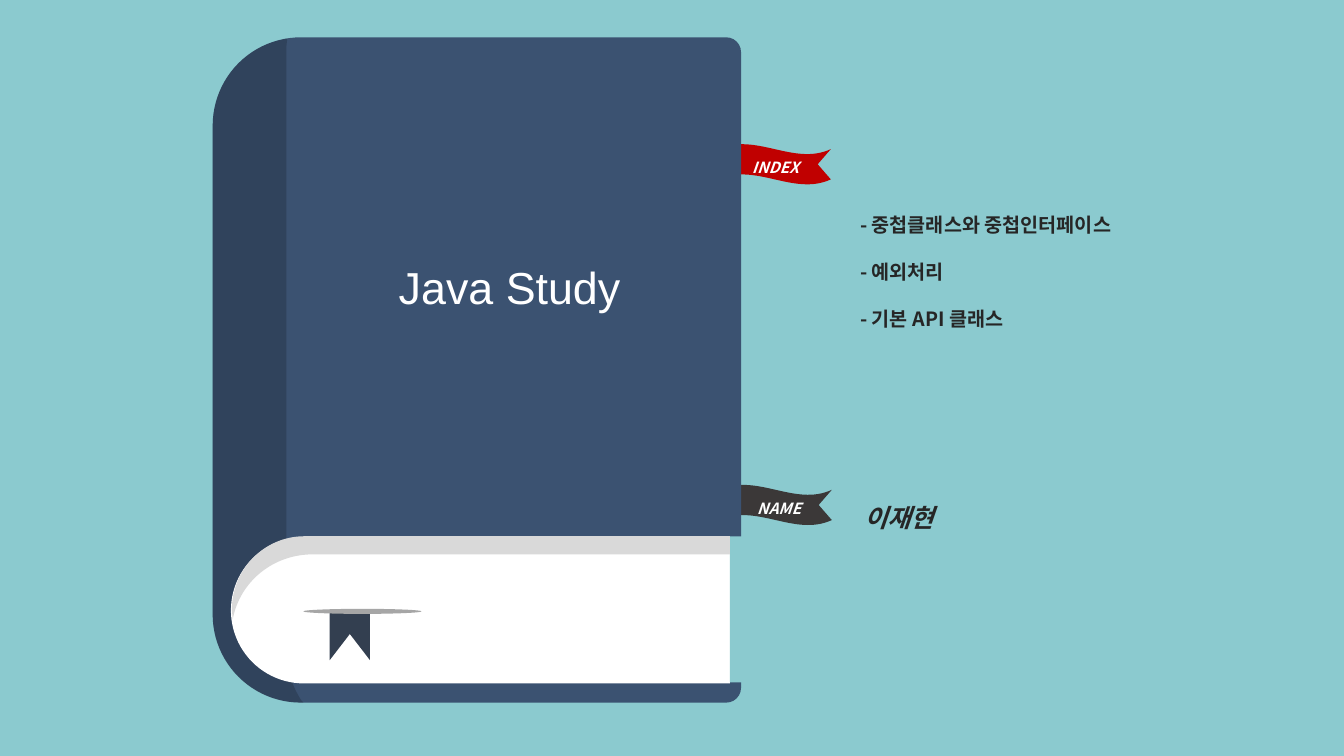
"""Builds the book-cover title slide with its index and name ribbons."""
from pptx import Presentation
from pptx import util as u
from pptx.dml.color import RGBColor
from pptx.enum import shapes, text
from pptx.oxml.ns import qn
from lxml import etree

SKY = RGBColor(0x8B, 0xCA, 0xCF)
COVER = RGBColor(0x3B, 0x52, 0x71)
BLACK = RGBColor(0, 0, 0)
WHITE = RGBColor(0xFF, 0xFF, 0xFF)
PAGE_SHADE = RGBColor(0xD9, 0xD9, 0xD9)
SLOT = RGBColor(0xA6, 0xA6, 0xA6)
BOOKMARK = RGBColor(0x33, 0x3F, 0x50)
RED = RGBColor(0xC0, 0, 0)
CHARCOAL = RGBColor(0x3B, 0x38, 0x38)
INK = RGBColor(0x26, 0x26, 0x26)
KOREAN = "Noto Sans CJK KR"


def paint(sp, color):
    """Give a shape a plain fill without line or shadow."""
    sp.shadow.inherit = False
    sp.fill.solid()
    sp.fill.fore_color.rgb = color
    sp.line.fill.background()
    return sp


def add_preset(s, kind, left, top, width, height, color):
    """Add a filled preset shape."""
    box = [u.Inches(v) for v in (left, top, width, height)]
    return paint(s.shapes.add_shape(kind, *box), color)


def add_left_rounded(s, left, top, width, height, color, adjustments):
    """Add a block whose large round corners face left."""
    x, y = left + (width - height) / 2, top + (height - width) / 2
    sp = add_preset(s, shapes.MSO_SHAPE.ROUND_2_SAME_RECTANGLE, x, y, height, width, color)
    sp.rotation = 270
    for i, value in enumerate(adjustments):
        sp.adjustments[i] = value


def add_outline(s, box, start, segments, color):
    """Add a closed outline in a box; two numbers make a line, six a curve."""
    left, top, width, height = (u.Inches(v) for v in box)
    builder = s.shapes.build_freeform(left, top)
    builder.add_line_segments([(left + width, top + height)], close=True)
    sp = paint(builder.convert_to_shape(), color)
    outline = next(sp.element.iter(qn("a:path")))
    for command in list(outline):
        outline.remove(command)
    commands = [("a:moveTo", start)]
    commands += [("a:lnTo" if len(seg) == 2 else "a:cubicBezTo", seg) for seg in segments]
    for tag, numbers in commands:
        command = etree.SubElement(outline, qn(tag))
        for x, y in zip(numbers[::2], numbers[1::2]):
            pt = etree.SubElement(command, qn("a:pt"))
            pt.set("x", str(u.Inches(x) - left))
            pt.set("y", str(u.Inches(y) - top))
    etree.SubElement(outline, qn("a:close"))
    return sp


def set_text(sp, box, lines, size, color, font=KOREAN, bold=True, italic=False,
             spacing=1.0, align=text.PP_ALIGN.LEFT, wrap=True):
    """Place a text shape and format its paragraphs."""
    sp.left, sp.top, sp.width, sp.height = (u.Inches(v) for v in box)
    tf = sp.text_frame
    tf.text = "\n".join(lines)
    tf.word_wrap = wrap
    tf.auto_size = text.MSO_AUTO_SIZE.NONE
    for p in tf.paragraphs:
        p.alignment = align
        p.line_spacing = spacing
        p.space_before = u.Pt(0)
        pPr = p._p.get_or_add_pPr()
        pPr.set("marL", "0")
        pPr.set("indent", "0")
        etree.SubElement(pPr, qn("a:buNone"))
        for r in p.runs:
            r.font.size = u.Pt(size)
            r.font.name = font
            r.font.bold = bold
            r.font.italic = italic
            r.font.color.rgb = color
            etree.SubElement(r.font._element, qn("a:ea")).set("typeface", font)
    return tf


def add_label(s, box, label, size, color, spacing, wrap):
    """Add a bold italic text box."""
    sp = s.shapes.add_textbox(0, 0, 0, 0)
    return set_text(sp, box, [label], size, color, italic=True, spacing=spacing, wrap=wrap)


def add_ribbon(s, left, top, color, label, label_box):
    """Add a waving ribbon with its label."""
    right, bottom = left + 1.12, top + 0.3
    add_outline(s, (left, top - 0.05, 1.12, 0.4), (left, bottom), [
        (left, top),
        (left + 0.38, top - 0.17, left + 0.75, top + 0.17, right, top),
        (right - 0.13, top + 0.15),
        (right, bottom),
        (left + 0.75, bottom + 0.17, left + 0.38, bottom - 0.17, left, bottom),
    ], color)
    add_label(s, label_box, label, 11, WHITE, 1.5, False)


def add_book(s):
    """Draw the cover, spine, pages and bookmark."""
    add_left_rounded(s, 2.11, 0.37, 5.24, 6.6, COVER, (0.167, 0.028))
    spine = add_outline(s, (2.11, 0.38, 0.9, 6.59), (2.85, 0.38), [
        (2.84, 0.47), (2.84, 6.46), (2.84, 6.64, 2.9, 6.81, 2.99, 6.95),
        (3.01, 6.97), (2.98, 6.97), (2.5, 6.97, 2.11, 6.58, 2.11, 6.1),
        (2.11, 1.25), (2.11, 0.82, 2.41, 0.47, 2.81, 0.39),
    ], BLACK)
    tint = spine.element.spPr.find(qn("a:solidFill"))[0]
    etree.SubElement(tint, qn("a:alpha")).set("val", "18000")
    add_left_rounded(s, 2.29, 5.33, 4.95, 1.45, WHITE, (0.5, 0))
    add_preset(s, shapes.MSO_SHAPE.RECTANGLE, 7.24, 5.32, 1.05, 1.45, SKY)
    add_outline(s, (2.3, 5.32, 4.94, 0.83), (3.02, 5.32), [
        (7.24, 5.32), (7.24, 5.5), (3.1, 5.5), (2.71, 5.5, 2.38, 5.77, 2.31, 6.14),
        (2.31, 6.15), (2.3, 6.05), (2.3, 5.65, 2.62, 5.32, 3.02, 5.32),
    ], PAGE_SHADE)
    add_outline(s, (3.27, 6.05, 0.4, 0.5), (3.27, 6.05),
                [(3.67, 6.05), (3.67, 6.55), (3.47, 6.29), (3.27, 6.55)], BOOKMARK)
    add_preset(s, shapes.MSO_SHAPE.OVAL, 3.01, 6.04, 1.17, 0.05, SLOT)


def main():
    """Build and save the slide."""
    prs = Presentation()
    prs.slide_width, prs.slide_height = u.Inches(13.33), u.Inches(7.5)
    s = prs.slides.add_slide(prs.slide_layouts[1])
    s.background.fill.solid()
    s.background.fill.fore_color.rgb = SKY

    topics = ["- 중첩클래스와 중첩인터페이스", "- 예외처리", "- 기본 API 클래스"]
    set_text(s.placeholders[1], (8.43, 1.83, 3.27, 1.51), topics, 14, INK, spacing=2.0)
    tf = add_label(s, (8.57, 4.7, 3.01, 0.57), "이재현", 18, INK, 2.0, True)
    tf.vertical_anchor = text.MSO_ANCHOR.MIDDLE
    tf.margin_left = tf.margin_top = tf.margin_right = tf.margin_bottom = 0

    add_ribbon(s, 7.12, 1.48, RED, "INDEX", (7.36, 1.43, 0.67, 0.34))
    add_ribbon(s, 7.13, 4.86, CHARCOAL, "NAME", (7.41, 4.81, 0.66, 0.34))
    add_book(s)

    title = s.shapes.title
    set_text(title, (2.99, 2.53, 4.13, 0.64), ["Java Study"], 32, WHITE, font="Arial",
             bold=False, align=text.PP_ALIGN.CENTER)
    title.text_frame.vertical_anchor = text.MSO_ANCHOR.TOP
    title.element.getparent().append(title.element)
    prs.save("out.pptx")


if __name__ == "__main__":
    main()
